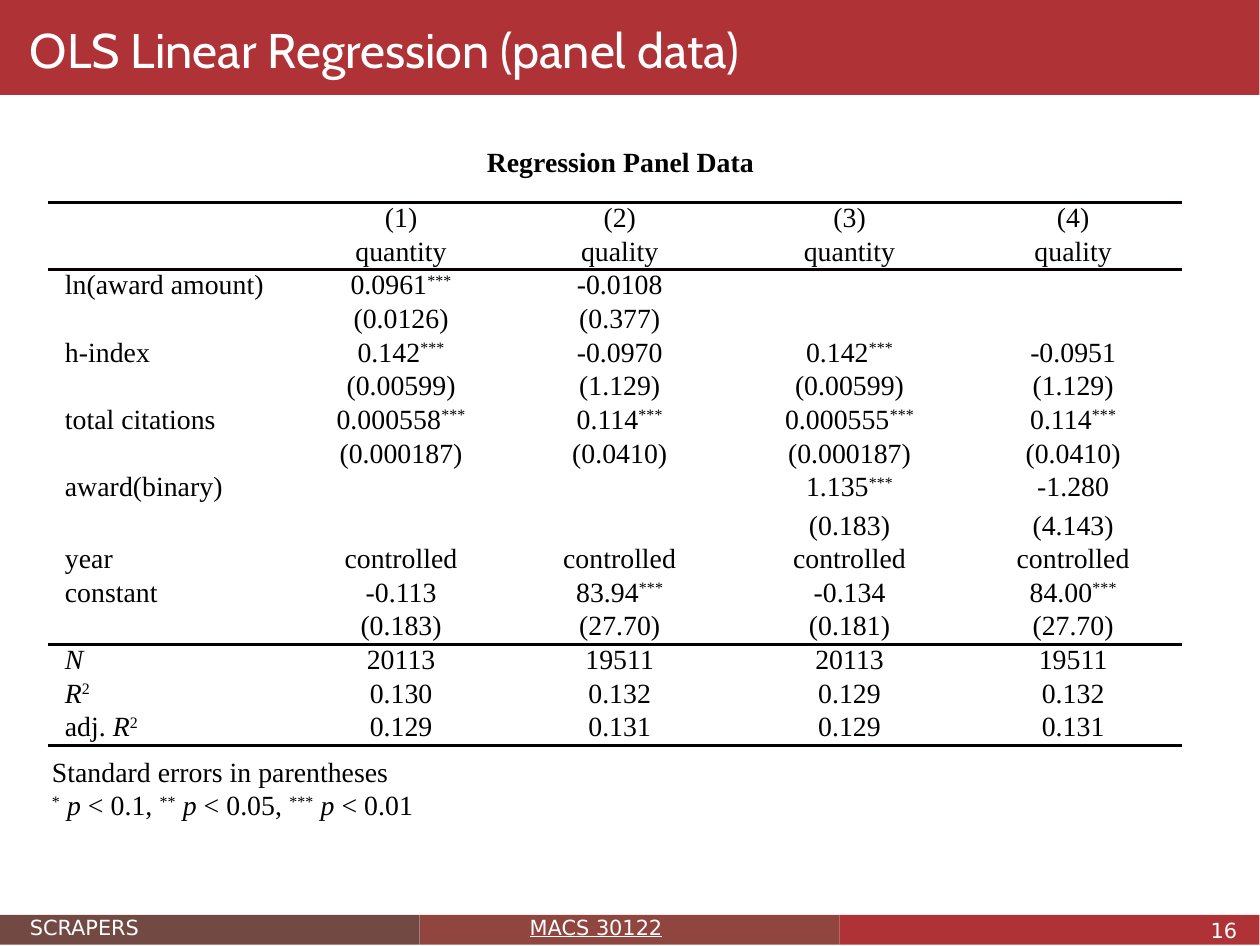
from collections import namedtuple
from dataclasses import dataclass

from lxml import etree
from pptx import Presentation
from pptx.dml.color import RGBColor
from pptx.enum import shapes, text
from pptx.oxml import ns
from pptx import util as u

Box = namedtuple("Box", "left top width height")


@dataclass(frozen=True)
class Theme:
    """Colours, fonts and type sizes of the deck."""
    red: str = "AE3236"
    brown: str = "734943"
    rust: str = "90463F"
    white: str = "FFFFFF"
    black: str = "000000"
    rule: str = "080000"
    title_font: str = "Cabin"
    body_font: str = "Times New Roman"
    footer_font: str = "DejaVu Sans"
    title_size: int = 14
    body_size: int = 8
    footer_size: int = 6


THEME = Theme()
TITLE = {"name": THEME.title_font, "size": u.Pt(THEME.title_size), "color": THEME.white}
BODY = {"name": THEME.body_font, "size": u.Pt(THEME.body_size), "color": THEME.black}
FOOTER = {"name": THEME.footer_font, "size": u.Pt(THEME.footer_size), "color": THEME.white}
PLAIN_TABLE = "{2D5ABB26-0587-4C30-8999-92F81FD0307C}"

COLUMNS = [1, 0.83, 0.92, 0.92, 0.87]
TALL_ROW, TALL_HEIGHT = 9, 0.15
RULES = {0: "a:lnT", 1: "a:lnB", 2: "a:lnT", 12: "a:lnB", 13: "a:lnT", 15: "a:lnB"}
ROWS = [
    ["", "(1)", "(2)", "(3)", "(4)"],
    ["", "quantity", "quality", "quantity", "quality"],
    ["ln(award amount)", "0.0961|^***", "-0.0108", "", ""],
    ["", "(0.0126)", "(0.377)", "", ""],
    ["h-index", "0.142|^***", "-0.0970", "0.142|^***", "-0.0951"],
    ["", "(0.00599)", "(1.129)", "(0.00599)", "(1.129)"],
    ["total citations", "0.000558|^***", "0.114|^***", "0.000555|^***", "0.114|^***"],
    ["", "(0.000187)", "(0.0410)", "(0.000187)", "(0.0410)"],
    ["award(binary)", "", "", "1.135|^***", "-1.280"],
    ["", "", "", "(0.183)", "(4.143)"],
    ["year"] + ["controlled"] * 4,
    ["constant", "-0.113", "83.94|^***", "-0.134", "84.00|^***"],
    ["", "(0.183)", "(27.70)", "(0.181)", "(27.70)"],
    ["_N", "20113", "19511", "20113", "19511"],
    ["_R|^2", "0.130", "0.132", "0.129", "0.132"],
    ["adj. |_R|^2", "0.129", "0.131", "0.129", "0.131"],
]
NOTES = ["Standard errors in parentheses",
         "^*| |_p| < 0.1, |^**| |_p| < 0.05, |^***| |_p| < 0.01"]


def inches(box):
    """Return the four lengths of a box as slide units."""
    return [u.Inches(length) for length in box]


def format_span(span, look):
    """Apply a dict of font values to one run."""
    for key, value in look.items():
        if key == "color":
            span.font.color.rgb = RGBColor.from_string(value)
        else:
            setattr(span.font, key, value)


def write(para, line, look, align=text.PP_ALIGN.LEFT):
    """Write pieces split by |, where ^ raises a piece and _ slants it."""
    para.alignment = align
    for piece in filter(None, line.split("|")):
        span = para.add_run()
        span.text = piece.lstrip("^_")
        format_span(span, look)
        if piece.startswith("_"):
            span.font.italic = True
        if piece.startswith("^"):
            span.font._element.set("baseline", "30000")
    if not line:
        size = str(int(look["size"].pt * 100))
        etree.SubElement(para._p, ns.qn("a:endParaRPr"), sz=size)


def fill_frame(frame, lines, look, insets, align=text.PP_ALIGN.LEFT):
    """Set the insets of a text frame and write its lines."""
    frame.word_wrap = True
    frame.vertical_anchor = text.MSO_ANCHOR.TOP
    for side, inset in zip(("left", "top", "right", "bottom"), insets):
        setattr(frame, f"margin_{side}", u.Inches(inset))
    for index, line in enumerate(lines):
        para = frame.add_paragraph() if index else frame.paragraphs[0]
        write(para, line, look, align)


def add_text(page, box, lines, look, insets=(0.1, 0.05, 0.1, 0.05), align=text.PP_ALIGN.LEFT):
    """Add a text box."""
    fill_frame(page.shapes.add_textbox(*inches(box)).text_frame, lines, look, insets, align)


def add_band(page, box, color):
    """Add a flat coloured rectangle."""
    band = page.shapes.add_shape(shapes.MSO_SHAPE.RECTANGLE, *inches(box))
    band.shadow.inherit = False
    band.fill.solid()
    band.fill.fore_color.rgb = RGBColor.from_string(color)
    band.line.fill.background()


def add_header(page, box):
    """Place the red band and the slide title on it."""
    add_band(page, box, THEME.red)
    title = page.shapes.title
    place = Box(box.left + 0.11, box.top + 0.06, box.width - 0.2, 0.25)
    for side, length in zip(Box._fields, inches(place)):
        setattr(title, side, length)
    fill_frame(title.text_frame, ["OLS Linear Regression (panel data)"], TITLE, (0.01, 0.02, 0, 0))
    page.shapes._spTree.append(title._element)


def add_rules(cell, ruled_edge):
    """Draw a one-point rule on the named edge and clear the other one."""
    for edge in ("a:lnT", "a:lnB"):
        line = etree.SubElement(cell._tc.get_or_add_tcPr(), ns.qn(edge), w=str(u.Pt(1)))
        if edge == ruled_edge:
            fill = etree.SubElement(line, ns.qn("a:solidFill"))
            etree.SubElement(fill, ns.qn("a:srgbClr"), val=THEME.rule)
        else:
            etree.SubElement(line, ns.qn("a:noFill"))


def add_regression_table(page, box):
    """Place the regression results as a ruled table."""
    frame = page.shapes.add_table(len(ROWS), len(COLUMNS), *inches(box))
    table = frame.table
    table.first_row = table.horz_banding = False
    table._tbl.tblPr.find(ns.qn("a:tableStyleId")).text = PLAIN_TABLE
    for column, width in zip(table.columns, COLUMNS):
        column.width = u.Inches(box.width * width / sum(COLUMNS))
    row_height = (box.height - TALL_HEIGHT) / (len(ROWS) - 1)
    for row, values in enumerate(ROWS):
        tall = row == TALL_ROW
        table.rows[row].height = u.Inches(TALL_HEIGHT if tall else row_height)
        for column, value in enumerate(values):
            cell = table.cell(row, column)
            cell.margin_left = cell.margin_right = u.Inches(0.07)
            cell.margin_top = u.Inches(0.02 if tall else 0)
            cell.margin_bottom = 0
            align = text.PP_ALIGN.CENTER if column else text.PP_ALIGN.LEFT
            write(cell.text_frame.paragraphs[0], value, BODY, align)
            add_rules(cell, RULES.get(row))
            cell.fill.background()


def add_results(page, box):
    """Place the table with its caption above and notes below."""
    add_text(page, Box(box.left + 1.66, box.top, 1.34, 0.2),
             ["Regression Panel Data"], {**BODY, "bold": True})
    add_regression_table(page, Box(box.left, box.top + 0.28, box.width, 2.17))
    add_text(page, Box(box.left - 0.08, box.top + 2.44, box.width / 2, 0.32), NOTES, BODY)


def add_footer(page, box):
    """Place three equal bands with group, course and page number."""
    third = box.width / 3
    insets = (0.01, 0.03, 0, 0)
    for index, color in enumerate((THEME.brown, THEME.rust, THEME.red)):
        add_band(page, Box(box.left + index * third, box.top, third, box.height), color)
    label_top = box.top - 0.03
    add_text(page, Box(box.left + 0.11, label_top, 1.46, 0.13), ["SCRAPERS"], FOOTER, insets)
    add_text(page, Box(box.left + 2.11, label_top, 0.82, 0.13),
             ["MACS 30122"], {**FOOTER, "underline": True}, insets)
    add_text(page, Box(box.left + 4.75, label_top + 0.01, 0.2, 0.13),
             ["16"], FOOTER, insets, text.PP_ALIGN.RIGHT)


def main():
    """Build the deck and save it."""
    deck = Presentation()
    deck.slide_width = u.Pt(363)
    deck.slide_height = u.Pt(272.5)
    page = deck.slides.add_slide(deck.slide_layouts.get_by_name("Title Only"))
    width, height = 5.04, 3.78
    add_header(page, Box(0, 0, width, 0.38))
    add_results(page, Box(0.19, 0.53, sum(COLUMNS), 2.77))
    add_footer(page, Box(0, height - 0.12, width, 0.12))
    deck.save("out.pptx")


if __name__ == "__main__":
    main()
